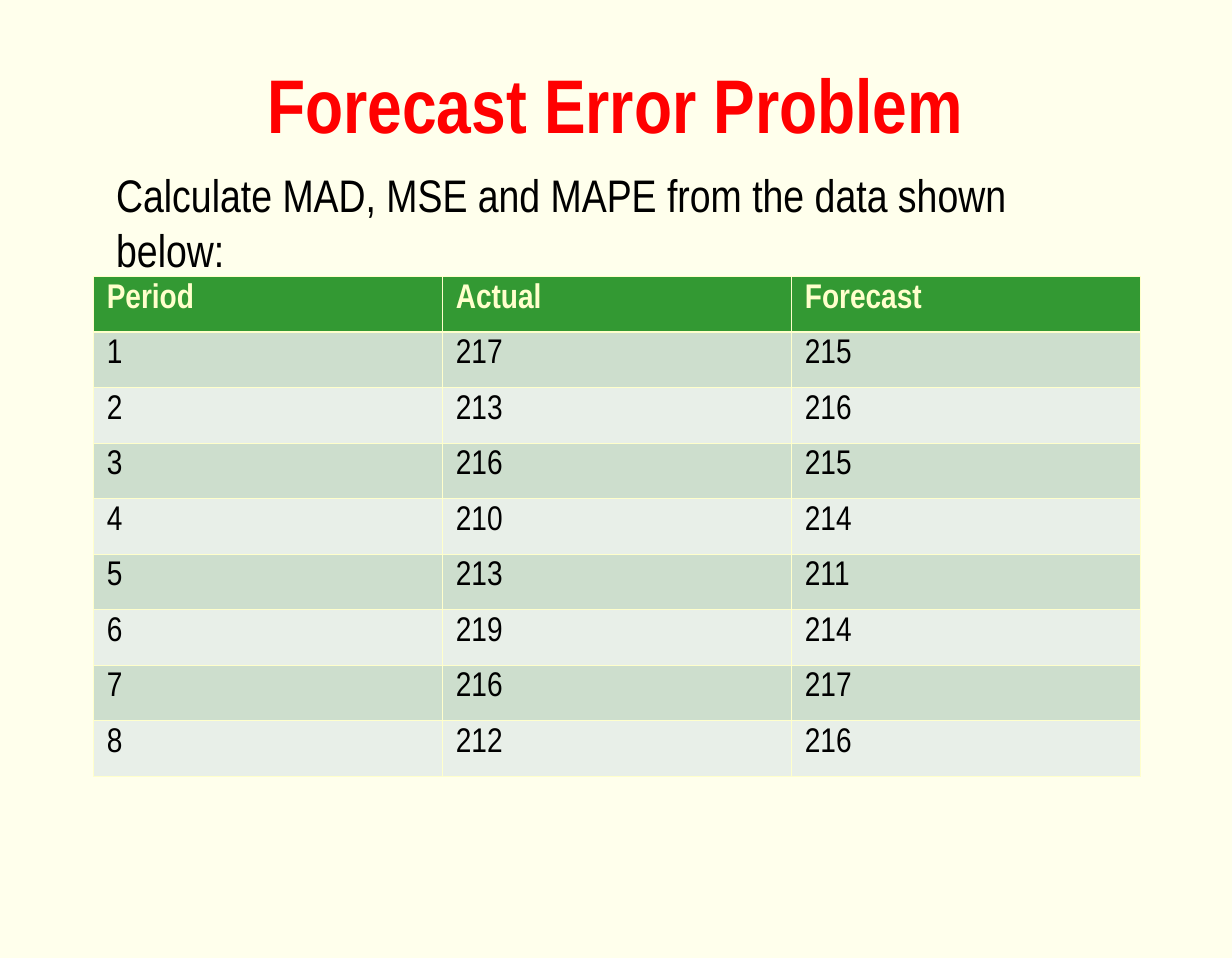
from dataclasses import dataclass

from lxml import etree
from pptx import Presentation
from pptx.dml.color import RGBColor
from pptx.enum.text import MSO_ANCHOR, PP_ALIGN
from pptx.oxml.ns import qn
from pptx.util import Inches, Pt

CENTER, LEFT = PP_ALIGN.CENTER, PP_ALIGN.LEFT
MIDDLE = MSO_ANCHOR.MIDDLE
TITLE_ONLY = 5


@dataclass(frozen=True)
class Theme:
    font: str = "Arial Narrow"
    background: str = "FFFFEC"
    title: str = "FF0000"
    text: str = "000000"
    cream: str = "FFFFCC"
    header: str = "339933"
    bands: tuple = ("CDDECD", "E8EFE8")
    title_size: int = 40
    intro_size: int = 24
    table_size: int = 18
    rule: float = 0.45
    header_rule: float = 1.47


THEME = Theme()

FORECASTS = [
    ("Period", "Actual", "Forecast"),
    (1, 217, 215),
    (2, 213, 216),
    (3, 216, 215),
    (4, 210, 214),
    (5, 213, 211),
    (6, 219, 214),
    (7, 216, 217),
    (8, 212, 216),
]


def write(frame, words, size, color, bold=False, align=LEFT):
    frame.text = words
    frame.word_wrap = True
    paragraph = frame.paragraphs[0]
    paragraph.alignment = align
    font = paragraph.runs[0].font
    font.name, font.size, font.bold = THEME.font, Pt(size), bold
    font.color.rgb = RGBColor.from_string(color)


def add_border(cell, side, width):
    line = etree.SubElement(cell._tc.get_or_add_tcPr(), qn(f"a:ln{side}"), w=str(Pt(width)))
    fill = etree.SubElement(line, qn("a:solidFill"))
    etree.SubElement(fill, qn("a:srgbClr"), val=THEME.cream)


def place_title(slide, left, top, width, height):
    heading = slide.shapes.title
    heading.left, heading.top = Inches(left), Inches(top)
    heading.width, heading.height = Inches(width), Inches(height)
    heading.text_frame.vertical_anchor = MIDDLE
    write(heading.text_frame, "Forecast Error Problem", THEME.title_size,
          THEME.title, bold=True, align=CENTER)


def add_forecast_table(slide, left, top, width, height):
    table = slide.shapes.add_table(
        len(FORECASTS), len(FORECASTS[0]),
        Inches(left), Inches(top), Inches(width), Inches(height)).table
    for r, values in enumerate(FORECASTS):
        is_header = r == 0
        band = THEME.header if is_header else THEME.bands[(r - 1) % 2]
        color = THEME.cream if is_header else THEME.text
        # The rule under the header is shared by the first two rows
        widths = {
            "L": THEME.rule,
            "R": THEME.rule,
            "T": THEME.header_rule if r == 1 else THEME.rule,
            "B": THEME.header_rule if is_header else THEME.rule,
        }
        for c, value in enumerate(values):
            cell = table.cell(r, c)
            for side, rule in widths.items():
                add_border(cell, side, rule)
            cell.fill.solid()
            cell.fill.fore_color.rgb = RGBColor.from_string(band)
            write(cell.text_frame, str(value), THEME.table_size, color, bold=is_header)


def add_intro(slide, left, top, width, height):
    intro = slide.shapes.add_textbox(Inches(left), Inches(top), Inches(width), Inches(height))
    write(intro.text_frame, "Calculate MAD, MSE and MAPE from the data shown below:",
          THEME.intro_size, THEME.text)


def main():
    deck = Presentation()
    deck.slide_width, deck.slide_height = Inches(9), Inches(7)
    slide = deck.slides.add_slide(deck.slide_layouts[TITLE_ONLY])

    # Background
    slide.background.fill.solid()
    slide.background.fill.fore_color.rgb = RGBColor.from_string(THEME.background)

    # Title, data and task
    place_title(slide, 0.67, 0.17, 7.65, 1.17)
    add_forecast_table(slide, 0.68, 2.02, 7.65, 3.65)
    add_intro(slide, 0.75, 1.17, 7.42, 0.9)

    deck.save("out.pptx")


if __name__ == "__main__":
    main()
